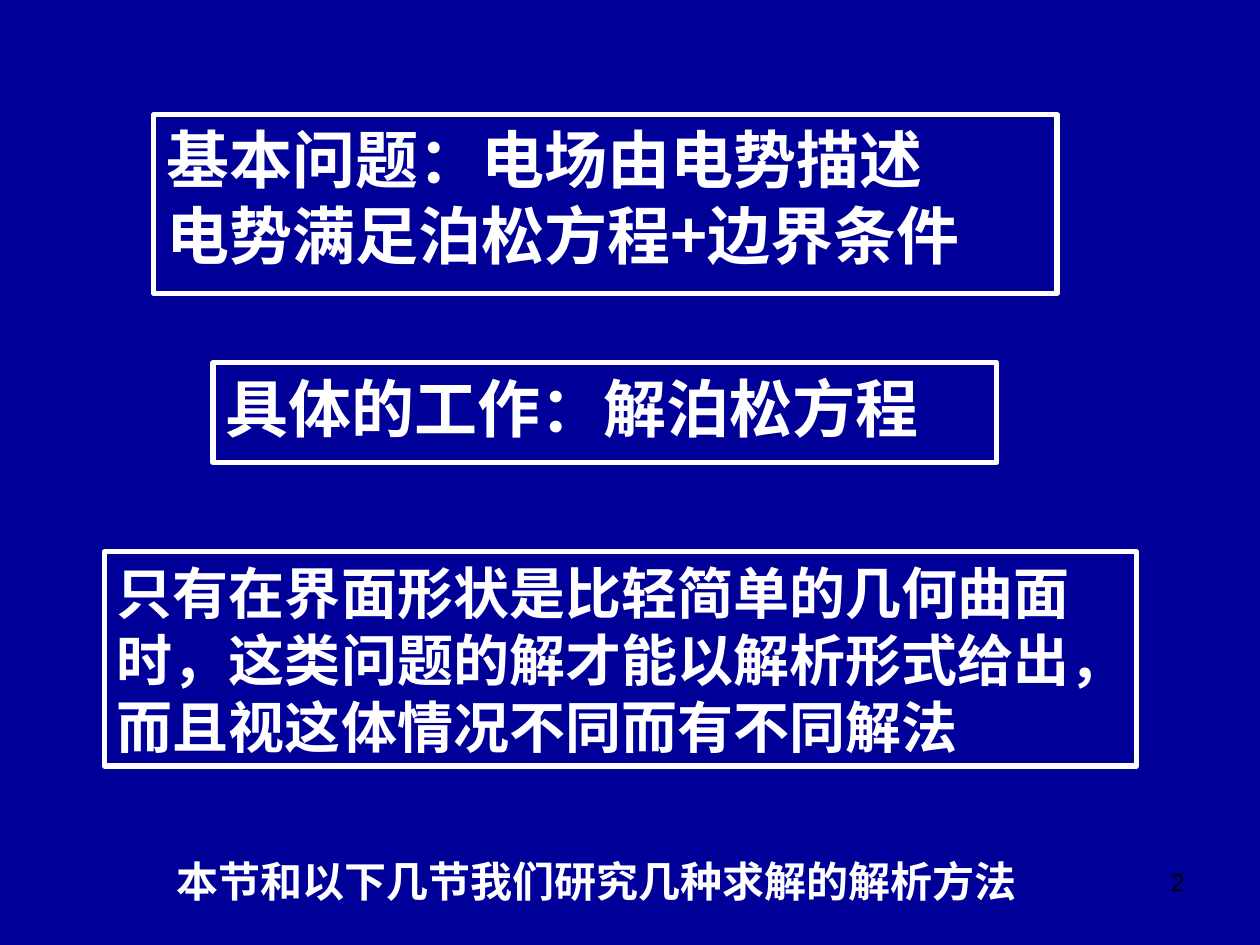
import pptx
import pptx.util
import pptx.dml.color
import pptx.enum.shapes
import pptx.enum.text
import lxml.etree

Inches = pptx.util.Inches
Pt = pptx.util.Pt
ALIGN = pptx.enum.text.PP_ALIGN
CJK = "Noto Sans CJK SC"


def tint(code):
    return pptx.dml.color.RGBColor.from_string(code)


def write(shape, lines, size, face=CJK, bold=True, color="FFFFFF", align=ALIGN.LEFT):
    frame = shape.text_frame
    frame.word_wrap = True
    frame.vertical_anchor = pptx.enum.text.MSO_ANCHOR.TOP
    frame.text = "\n".join(lines)
    look = {"name": face, "size": Pt(size), "bold": bold}
    for para in frame.paragraphs:
        para.alignment = align
        for run in para.runs:
            for key, value in look.items():
                setattr(run.font, key, value)
            run.font.color.rgb = tint(color)
            # Chinese text takes its face from the East Asian slot
            latin = run.font._element.find(pptx.oxml.ns.qn("a:latin"))
            east = lxml.etree.Element(pptx.oxml.ns.qn("a:ea"), typeface=face)
            latin.addnext(east)


# Blank slide with a dark blue ground
deck = pptx.Presentation()
deck.slide_width, deck.slide_height = Inches(10), Inches(7.5)
slide = deck.slides.add_slide(deck.slide_layouts[6])
slide.background.fill.solid()
slide.background.fill.fore_color.rgb = tint("000099")

# Framed statements: place, size, lines
frames = [
    ((1.22, 0.91, 7.17, 1.42), 36,
     ["基本问题：电场由电势描述", "电势满足泊松方程+边界条件"]),
    ((1.69, 2.88, 6.22, 0.79), 36, ["具体的工作：解泊松方程"]),
    ((0.83, 4.38, 8.19, 1.7), 32,
     ["只有在界面形状是比轻简单的几何曲面时，这类问题的解才能以解析形式给出，"
      "而且视这体情况不同而有不同解法"]),
]
for place, size, lines in frames:
    box = slide.shapes.add_shape(
        pptx.enum.shapes.MSO_SHAPE.RECTANGLE, *map(Inches, place))
    box.shadow.inherit = False
    box.fill.background()
    box.line.color.rgb = tint("FFFFFF")
    box.line.width = Pt(3)
    write(box, lines, size)

# Closing line
note = slide.shapes.add_textbox(*map(Inches, (1.3, 6.74, 7.09, 0.5)))
write(note, ["本节和以下几节我们研究几种求解的解析方法"], 24)

# Page number
page = slide.shapes.add_textbox(*map(Inches, (7.17, 6.83, 2.33, 0.52)))
write(page, ["2"], 14, "Arial", False, "000000", ALIGN.RIGHT)

deck.save("out.pptx")
